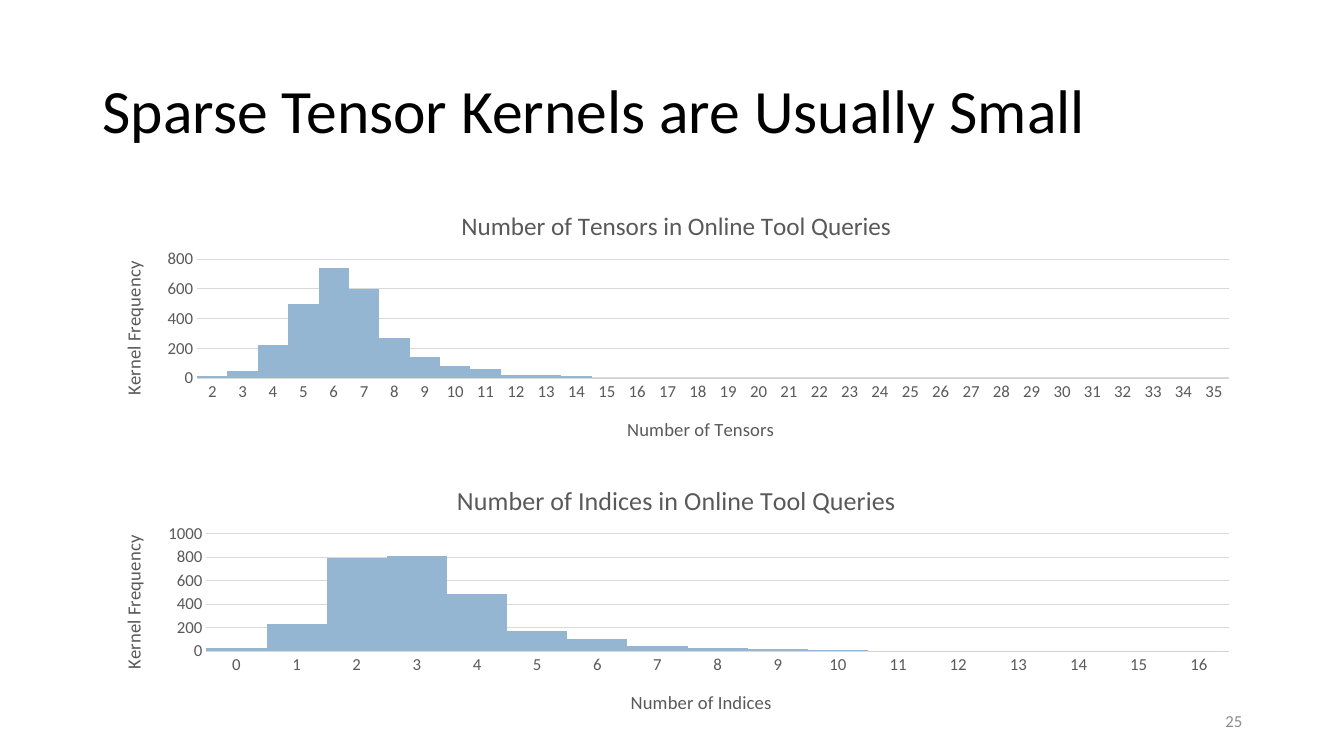
from lxml import etree
from pptx import Presentation
from pptx.chart.data import CategoryChartData
from pptx.dml.color import RGBColor
from pptx.enum.chart import XL_CHART_TYPE, XL_TICK_MARK
from pptx.enum.text import MSO_ANCHOR, PP_ALIGN
from pptx.util import Inches, Pt

COLUMN = XL_CHART_TYPE.COLUMN_CLUSTERED
NO_TICK = XL_TICK_MARK.NONE
MIDDLE = MSO_ANCHOR.MIDDLE
LEFT, RIGHT = PP_ALIGN.LEFT, PP_ALIGN.RIGHT
FONT = "Calibri"
GREY, RULE, BAR = "595959", "D9D9D9", "94B6D2"
C_NS = "http://schemas.openxmlformats.org/drawingml/2006/chart"

# Content: places inside a chart are fractions of its width and height
TITLE = "Sparse Tensor Kernels are Usually Small"
PAGE = "25"
VALUE_TITLE = "Kernel Frequency"
CHARTS = [
    dict(top=1.85, title="Number of Tensors in Online Tool Queries", size=18,
         axis="Number of Tensors", first=2, maximum=800,
         values=[10, 50, 220, 500, 740, 600, 270, 140, 80, 60, 20, 20, 10] + [0] * 21,
         plot_at=(0.09, 0.267, 0.89, 0.437), title_at=(0.314, 0.065),
         axis_at=(0.458, 0.832), value_at=(0.021, 0.263)),
    dict(top=4.56, title="Number of Indices in Online Tool Queries", size=18.6,
         axis="Number of Indices", first=0, maximum=1000,
         values=[30, 230, 790, 810, 490, 170, 100, 40, 30, 20, 10] + [0] * 6,
         plot_at=(0.098, 0.272, 0.882, 0.432), title_at=(0.31, 0.065),
         axis_at=(0.461, 0.831), value_at=(0.021, 0.266)),
]


def rgb(value):
    return RGBColor.from_string(value)


def style(font, size, color):
    font.name = FONT
    font.size = Pt(size)
    font.bold = False
    font.color.rgb = rgb(color)


def add_text(s, box, text, size, color, align=LEFT, spacing=1.0):
    tf = s.shapes.add_textbox(*map(Inches, box)).text_frame
    tf.word_wrap = True
    tf.vertical_anchor = MIDDLE
    p = tf.paragraphs[0]
    p.alignment = align
    p.line_spacing = spacing
    r = p.add_run()
    r.text = text
    style(r.font, size, color)


def place(element, index, fractions, inner=False):
    """Give a chart part a manual layout."""
    for old in element.findall(f"{{{C_NS}}}layout"):
        element.remove(old)
    layout = etree.Element(f"{{{C_NS}}}layout")
    manual = etree.SubElement(layout, f"{{{C_NS}}}manualLayout")
    settings = [("layoutTarget", "inner")] if inner else []
    settings += [("xMode", "edge"), ("yMode", "edge")]
    settings += zip("xywh", fractions)
    for tag, value in settings:
        etree.SubElement(manual, f"{{{C_NS}}}{tag}").set("val", str(value))
    element.insert(index, layout)


def add_title(owner, text, size, at):
    title = owner.chart_title if hasattr(owner, "chart_title") else owner.axis_title
    r = title.text_frame.paragraphs[0].add_run()
    r.text = text
    style(r.font, size, GREY)
    place(title._element, 1, at)


def add_histogram(s, c):
    data = CategoryChartData()
    data.categories = [str(c["first"] + i) for i in range(len(c["values"]))]
    data.add_series("Series 1", c["values"])
    chart = s.shapes.add_chart(COLUMN, Inches(0.92), Inches(c["top"]),
                               Inches(11.5), Inches(2.7), data).chart
    style(chart.font, 10, "000000")
    chart.has_legend = False

    # Touching bars
    plot = chart.plots[0]
    plot.gap_width = 0
    plot.vary_by_categories = False
    fill = plot.series[0].format.fill
    fill.solid()
    fill.fore_color.rgb = rgb(BAR)

    # Axes
    cat, val = chart.category_axis, chart.value_axis
    for axis in (cat, val):
        axis.major_tick_mark = axis.minor_tick_mark = NO_TICK
        style(axis.tick_labels.font, 12, GREY)
    val.minimum_scale, val.maximum_scale, val.major_unit = 0, c["maximum"], 200
    val.format.line.fill.background()
    for line in (cat.format.line, val.major_gridlines.format.line):
        line.color.rgb = rgb(RULE)
        line.width = Pt(0.75)

    # Titles and plot area
    add_title(chart, c["title"], c["size"], c["title_at"])
    add_title(cat, c["axis"], 13.3, c["axis_at"])
    add_title(val, VALUE_TITLE, 13.3, c["value_at"])
    plot_area = chart._chartSpace.find(f".//{{{C_NS}}}plotArea")
    place(plot_area, 0, c["plot_at"], inner=True)


def main():
    prs = Presentation()
    prs.slide_width, prs.slide_height = Inches(13.33), Inches(7.5)
    s = prs.slides.add_slide(prs.slide_layouts[6])
    add_text(s, (0.92, 0.4, 11.5, 1.45), TITLE, 44, "000000", spacing=0.9)
    for c in CHARTS:
        add_histogram(s, c)
    add_text(s, (9.42, 6.95, 3, 0.4), PAGE, 12, "8C8C8C", align=RIGHT)
    prs.save("out.pptx")


if __name__ == "__main__":
    main()
